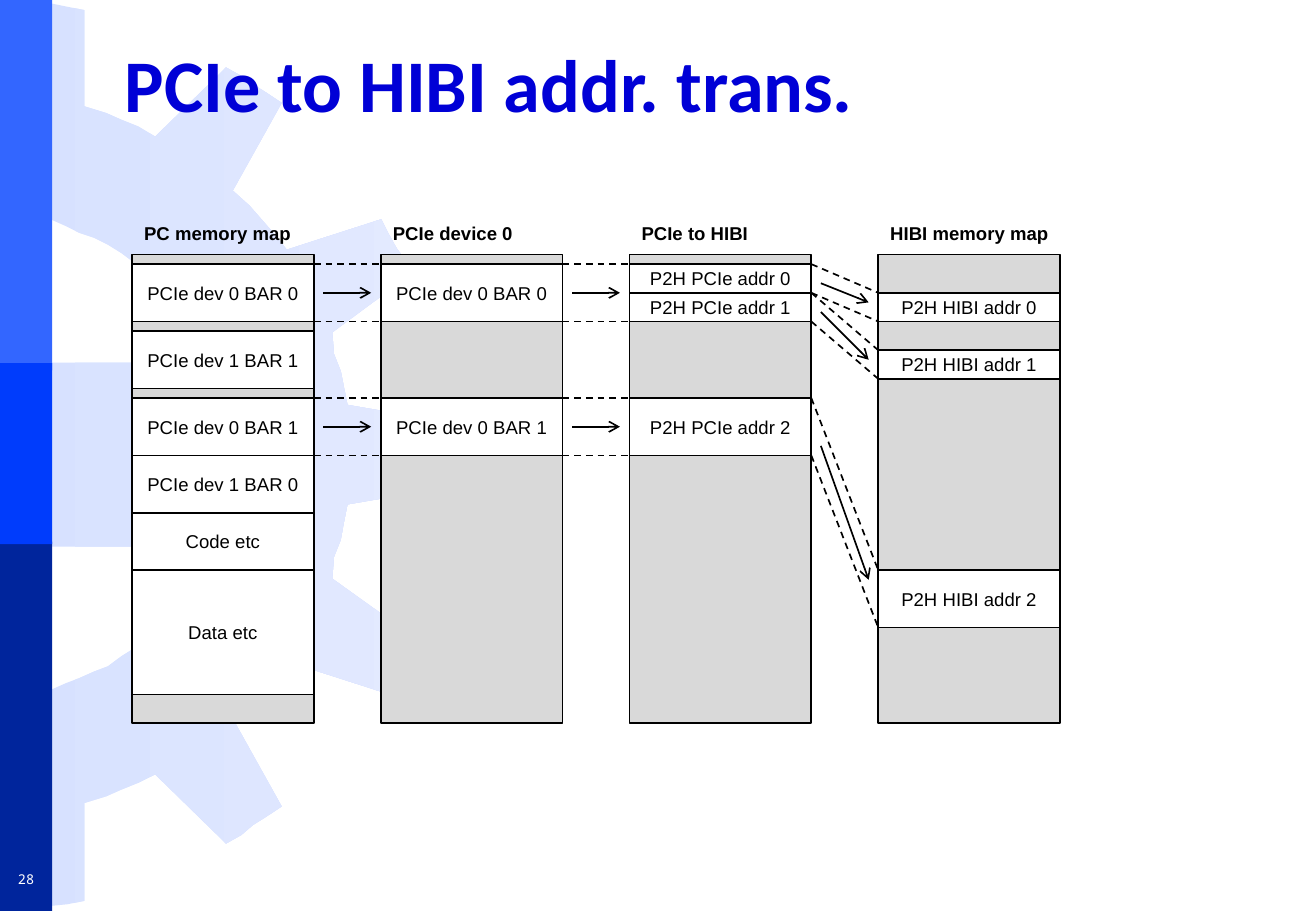
from dataclasses import dataclass

from pptx import Presentation
from pptx.dml.color import RGBColor as Rgb
from pptx.enum.dml import MSO_LINE
from pptx.enum.shapes import MSO_CONNECTOR as Connector, MSO_SHAPE as Preset
from pptx.enum.text import MSO_ANCHOR as Anchor, PP_ALIGN as Align
from pptx.oxml import parse_xml
from pptx.oxml.ns import nsdecls
from pptx.shapes.autoshape import Shape
from pptx.shapes.shapetree import SlideShapes
from pptx.util import Pt


@dataclass(frozen=True)
class Theme:
    title_color: str = "0000D6"
    ink: str = "000000"
    white: str = "FFFFFF"
    unmapped: str = "D9D9D9"
    gear_left: str = "D7E1FF"
    gear_right: str = "E3EAFF"
    bar_top: str = "3366FF"
    bar_bottom: str = "00259C"
    bar_middle: str = "003CFC"
    title_font: str = "Calibri"
    body_font: str = "Arial"
    number_font: str = "Noto Sans Mono"
    title_size: float = 44
    body_size: float = 11
    number_size: float = 8
    line_width: float = 1


@dataclass(frozen=True)
class Box:
    left: float
    top: float
    width: float
    height: float


@dataclass(frozen=True)
class Block:
    column: int
    start: int
    size: int
    label: str

    @property
    def end(self) -> int:
        return self.start + self.size

    @property
    def middle(self) -> float:
        return self.start + self.size / 2


@dataclass(frozen=True)
class Mapping:
    source: Block
    target: Block
    inset: float = 0


THEME = Theme()
UNIT = 5.67
MAP_LEFT, MAP_TOP = 78.3, 150.9
COLUMN_UNITS, PITCH_UNITS, MAP_UNITS = 19, 26, 49
BAR_WIDTH = 31
GEAR_HEIGHT = 539.3
GEAR_UPPER_HALF = [
    (0, 215.3), (124.6, 215.3), (120.2, 206), (115.2, 198.7), (111.6, 190),
    (105.8, 182), (100, 174.2), (93.6, 168.5), (85.7, 162.7), (80, 155.5),
    (72, 150.5), (64, 144.7), (56.2, 141), (46.8, 137.5), (38.9, 134),
    (30.2, 130.3), (20.2, 129.6), (10, 126.7), (10, 0), (20.9, 0.7),
    (30.2, 2.2), (39.6, 3.6), (50.4, 5.8), (50.4, 63.4), (62.6, 67),
    (72, 71.3), (82, 74.9), (92.2, 80.6), (133.9, 39.6), (143.3, 44.6),
    (149.8, 50.4), (157.7, 55.4), (167, 61.2), (138.2, 113), (148.3, 121.7),
    (154.8, 129.6), (162, 138.2), (170, 147.6), (226, 129.6), (230.4, 138.2),
    (235.4, 146.9), (239.8, 154), (243.4, 163.4), (196.6, 196.6),
    (198, 209.5), (202.3, 219.6), (203.8, 230.4), (206, 240.5),
    (264.2, 249.8), (266.4, 258.5),
]

HEADINGS = ["PC memory map", "PCIe device 0", "PCIe to HIBI", "HIBI memory map"]
PC_BAR_0 = Block(0, 1, 6, "PCIe dev 0 BAR 0")
PC_BAR_1 = Block(0, 15, 6, "PCIe dev 0 BAR 1")
DEVICE_BAR_0 = Block(1, 1, 6, "PCIe dev 0 BAR 0")
DEVICE_BAR_1 = Block(1, 15, 6, "PCIe dev 0 BAR 1")
PCIE_0 = Block(2, 1, 3, "P2H PCIe addr 0")
PCIE_1 = Block(2, 4, 3, "P2H PCIe addr 1")
PCIE_2 = Block(2, 15, 6, "P2H PCIe addr 2")
HIBI_0 = Block(3, 4, 3, "P2H HIBI addr 0")
HIBI_1 = Block(3, 10, 3, "P2H HIBI addr 1")
HIBI_2 = Block(3, 33, 6, "P2H HIBI addr 2")
PCIE_WINDOW = Block(2, 1, 6, "")

BLOCKS = [
    PC_BAR_0,
    Block(0, 8, 6, "PCIe dev 1 BAR 1"),
    PC_BAR_1,
    Block(0, 21, 6, "PCIe dev 1 BAR 0"),
    Block(0, 27, 6, "Code etc"),
    Block(0, 33, 13, "Data etc"),
    DEVICE_BAR_0, DEVICE_BAR_1,
    PCIE_0, PCIE_1, PCIE_2,
    HIBI_0, HIBI_1, HIBI_2,
]
MAPPINGS = [
    Mapping(PC_BAR_0, DEVICE_BAR_0),
    Mapping(PC_BAR_1, DEVICE_BAR_1),
    Mapping(DEVICE_BAR_0, PCIE_WINDOW),
    Mapping(DEVICE_BAR_1, PCIE_2),
    Mapping(PCIE_0, HIBI_0, 0.5),
    Mapping(PCIE_1, HIBI_1, 0.5),
    Mapping(PCIE_2, HIBI_2, 2),
]


def map_x(column: int, units: float = 0) -> float:
    return MAP_LEFT + (column * PITCH_UNITS + units) * UNIT


def map_y(units: float) -> float:
    return MAP_TOP + units * UNIT


def write(shape: Shape, text: str, size: float, font: str, color: str,
          bold: bool = False, align: Align = Align.LEFT,
          anchor: Anchor = Anchor.MIDDLE, wrap: bool = False) -> None:
    frame = shape.text_frame
    frame.text = text
    frame.word_wrap = wrap
    frame.vertical_anchor = anchor
    paragraph = frame.paragraphs[0]
    paragraph.alignment = align
    run_font = paragraph.runs[0].font
    run_font.size, run_font.name, run_font.bold = Pt(size), font, bold
    run_font.color.rgb = Rgb.from_string(color)


def add_text_box(shapes: SlideShapes, box: Box) -> Shape:
    return shapes.add_textbox(Pt(box.left), Pt(box.top), Pt(box.width), Pt(box.height))


def add_rectangle(shapes: SlideShapes, box: Box, fill: str, outlined: bool = True) -> Shape:
    rectangle = shapes.add_shape(
        Preset.RECTANGLE, Pt(box.left), Pt(box.top), Pt(box.width), Pt(box.height))
    rectangle.shadow.inherit = False
    rectangle.fill.solid()
    rectangle.fill.fore_color.rgb = Rgb.from_string(fill)
    if outlined:
        rectangle.line.color.rgb = Rgb.from_string(THEME.ink)
        rectangle.line.width = Pt(THEME.line_width)
    else:
        rectangle.line.fill.background()
    return rectangle


def add_gear(shapes: SlideShapes) -> None:
    lower_half = [(x, GEAR_HEIGHT - y) for x, y in reversed(GEAR_UPPER_HALF)]
    outline = GEAR_UPPER_HALF + lower_half
    builder = shapes.build_freeform(*outline[0], scale=Pt(1))
    builder.add_line_segments(outline[1:], close=True)
    gear = builder.convert_to_shape()
    gear.shadow.inherit = False
    gear.line.fill.background()
    gear.fill.gradient()
    gear.fill.gradient_angle = 0
    for stop, color in zip(gear.fill.gradient_stops, (THEME.gear_left, THEME.gear_right)):
        stop.color.rgb = Rgb.from_string(color)


def add_line(shapes: SlideShapes, x1: float, y1: float, x2: float, y2: float,
             arrow: bool = False) -> None:
    line = shapes.add_connector(Connector.STRAIGHT, Pt(x1), Pt(y1), Pt(x2), Pt(y2))
    line.line.color.rgb = Rgb.from_string(THEME.ink)
    line.line.width = Pt(THEME.line_width)
    if arrow:
        line.line._get_or_add_ln().append(
            parse_xml(f'<a:tailEnd {nsdecls("a")} type="arrow"/>'))
    else:
        line.line.dash_style = MSO_LINE.DASH
    line._element.spPr.append(parse_xml(f'<a:effectLst {nsdecls("a")}/>'))


def add_mapping(shapes: SlideShapes, mapping: Mapping) -> None:
    source, target = mapping.source, mapping.target
    left, right = map_x(source.column, COLUMN_UNITS), map_x(target.column)
    for start, end in ((source.start, target.start), (source.end, target.end)):
        add_line(shapes, left, map_y(start), right, map_y(end))
    add_line(shapes, left + UNIT, map_y(source.middle + mapping.inset),
             right - UNIT, map_y(target.middle - mapping.inset), arrow=True)


def main() -> None:
    deck = Presentation()
    deck.slide_width, deck.slide_height = Pt(780), Pt(540)
    shapes = deck.slides.add_slide(deck.slide_layouts[6]).shapes

    add_gear(shapes)
    for top, height, color in ((0, 219.6, THEME.bar_top), (321.1, 218.9, THEME.bar_bottom),
                               (215.3, 107.3, THEME.bar_middle)):
        add_rectangle(shapes, Box(0, top, BAR_WIDTH, height), color, outlined=False)
    write(add_text_box(shapes, Box(67, 15.1, 676, 67.7)), "PCIe to HIBI addr. trans.",
          THEME.title_size, THEME.title_font, THEME.title_color, bold=True, wrap=True)
    write(add_text_box(shapes, Box(0, 512, BAR_WIDTH, 18.7)), "28",
          THEME.number_size, THEME.number_font, THEME.white, align=Align.CENTER)

    for column, heading in enumerate(HEADINGS):
        add_rectangle(shapes, Box(map_x(column), MAP_TOP, COLUMN_UNITS * UNIT,
                                  MAP_UNITS * UNIT), THEME.unmapped)
        write(add_text_box(shapes, Box(map_x(column), 128.2, 118, 17.3)), heading,
              THEME.body_size, THEME.body_font, THEME.ink, bold=True,
              anchor=Anchor.TOP, wrap=True)
    for block in BLOCKS:
        area = Box(map_x(block.column), map_y(block.start),
                   COLUMN_UNITS * UNIT, block.size * UNIT)
        write(add_rectangle(shapes, area, THEME.white), block.label, THEME.body_size,
              THEME.body_font, THEME.ink, align=Align.CENTER)
    for mapping in MAPPINGS:
        add_mapping(shapes, mapping)

    deck.save("out.pptx")


if __name__ == "__main__":
    main()
